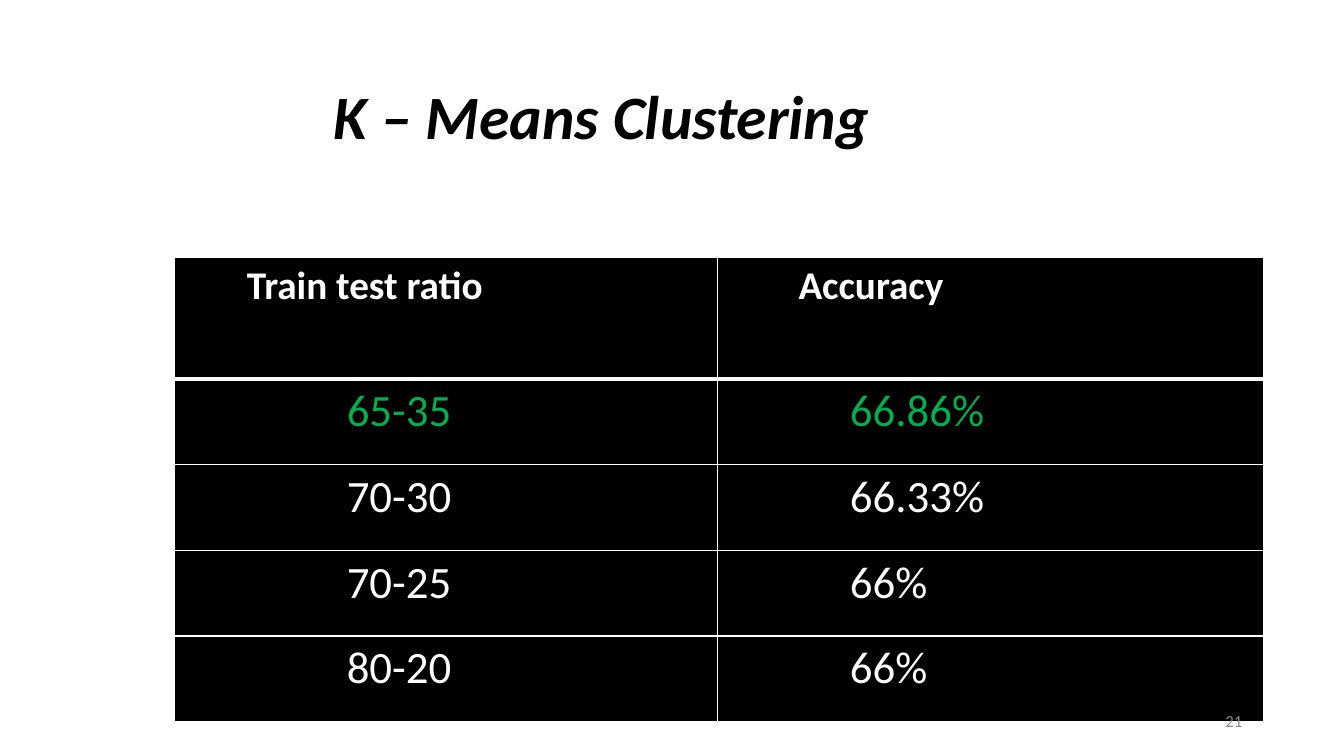
"""Build the K-Means clustering accuracy slide."""
import pptx
import pptx.util
import pptx.dml.color
import pptx.enum.text
import pptx.oxml
import pptx.oxml.ns

Inches = pptx.util.Inches
Align = pptx.enum.text.PP_ALIGN
Anchor = pptx.enum.text.MSO_ANCHOR


def color(code):
    return pptx.dml.color.RGBColor.from_string(code)


def write(frame, text, size, tint, bold=False, italic=False, align=Align.LEFT):
    frame.word_wrap = True
    para = frame.paragraphs[0]
    para.alignment = align
    run = para.add_run()
    run.text = text
    font = run.font
    font.name = "Calibri"
    font.size = pptx.util.Pt(size)
    font.bold = bold
    font.italic = italic
    font.color.rgb = color(tint)


deck = pptx.Presentation()
deck.slide_width = Inches(13.33)
deck.slide_height = Inches(7.5)
slide = deck.slides.add_slide(deck.slide_layouts[6])

title = slide.shapes.add_textbox(Inches(3.21), Inches(0.72), Inches(6.91), Inches(1.14))
write(title.text_frame, "K – Means Clustering", 44, "000000", bold=True, italic=True)

rows = [
    ("Train test ratio", "Accuracy"),
    ("65-35", "66.86%"),
    ("70-30", "66.33%"),
    ("70-25", "66%"),
    ("80-20", "66%"),
]
table = slide.shapes.add_table(
    len(rows), 2, Inches(1.73), Inches(2.55), Inches(10.8), Inches(4.61)
).table
table.columns[0].width = Inches(5.39)
table.columns[1].width = Inches(5.41)

for r, row in enumerate(rows):
    head = r == 0
    table.rows[r].height = Inches(1.21 if head else 0.85)
    tint = "00B050" if r == 1 else "FFFFFF"
    indents = (0.72, 0.8) if head else (1.71, 1.31)
    edges = {"L": 1, "R": 1, "T": 3 if r == 1 else 1, "B": 3 if head else 1}
    for c, text in enumerate(row):
        cell = table.cell(r, c)
        cell.margin_left = Inches(indents[c])
        write(cell.text_frame, text, 28 if head else 32, tint, bold=head)
        props = cell._tc.get_or_add_tcPr()
        for side, width in edges.items():
            props.append(pptx.oxml.parse_xml(
                f'<a:ln{side} {pptx.oxml.ns.nsdecls("a")} w="{pptx.util.Pt(width)}">'
                '<a:solidFill><a:srgbClr val="FFFFFF"/></a:solidFill>'
                f'</a:ln{side}>'
            ))
        cell.fill.solid()
        cell.fill.fore_color.rgb = color("000000")

number = slide.shapes.add_textbox(Inches(9.42), Inches(6.95), Inches(3), Inches(0.4))
number.text_frame.vertical_anchor = Anchor.MIDDLE
write(number.text_frame, "21", 12, "8C8C8C", align=Align.RIGHT)

deck.save("out.pptx")
